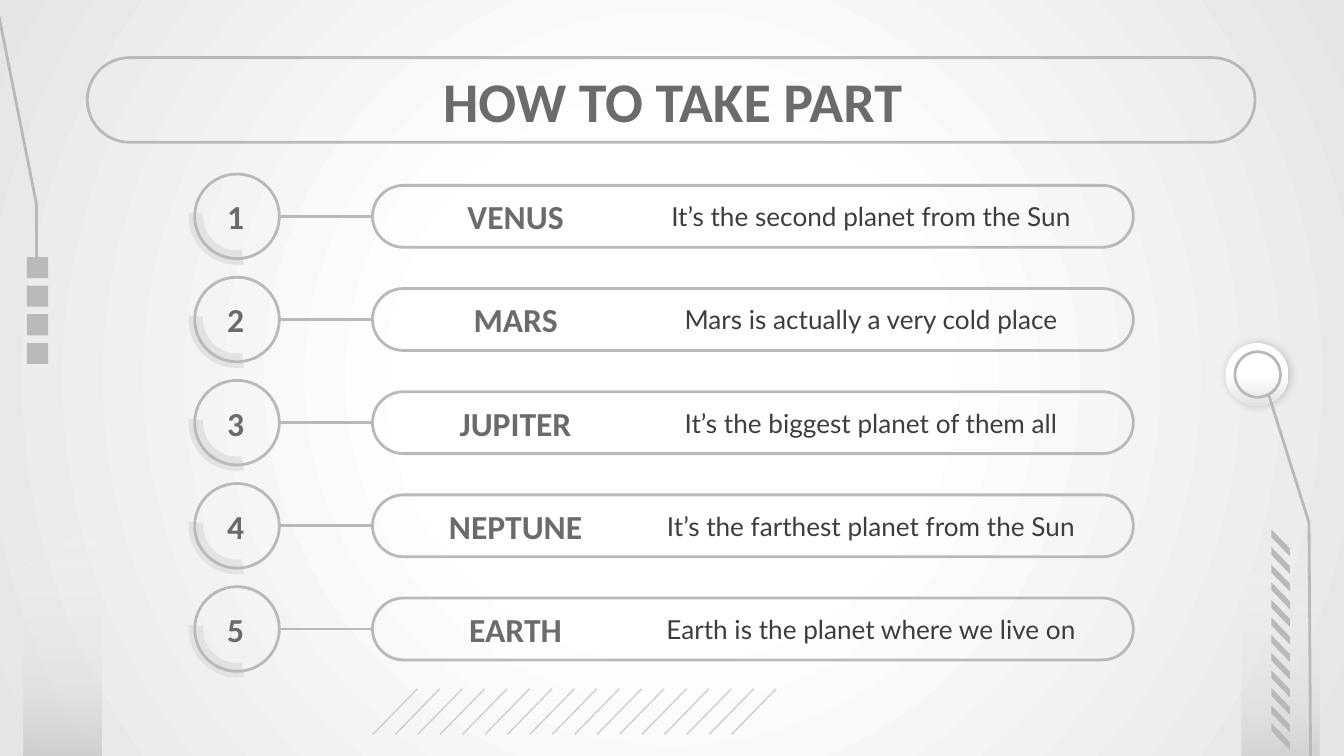
from lxml import etree
from pptx import Presentation
from pptx.dml.color import RGBColor
from pptx.enum.shapes import MSO_CONNECTOR, MSO_SHAPE
from pptx.enum.text import MSO_ANCHOR, PP_ALIGN
from pptx.oxml.ns import qn
from pptx.util import Cm, Pt

# Content
TITLE = "HOW TO TAKE PART"
STEPS = [
    ("VENUS", "It’s the second planet from the Sun"),
    ("MARS", "Mars is actually a very cold place"),
    ("JUPITER", "It’s the biggest planet of them all"),
    ("NEPTUNE", "It’s the farthest planet from the Sun"),
    ("EARTH", "Earth is the planet where we live on"),
]

# Colours
WHITE = RGBColor(0xFF, 0xFF, 0xFF)
OUTLINE = RGBColor(0xB9, 0xB9, 0xB9)
HEADING = RGBColor(0x6B, 0x6B, 0x6B)
BODY = RGBColor(0x3D, 0x3D, 0x3D)
ARC = RGBColor(0xE2, 0xE2, 0xE2)
SLASH = RGBColor(0xD1, 0xD1, 0xD1)
MIST = RGBColor(0xDC, 0xDC, 0xDC)
EDGE = RGBColor(0xE5, 0xE5, 0xE5)

# Layout, in centimetres
ROW_CENTRE, ROW_STEP = 4.09, 1.95
PILL_LEFT, PILL_WIDTH, PILL_HEIGHT = 7.04, 14.38, 1.17
DISC_CENTRE, DISC_SIZE, ARC_SIZE = 4.48, 1.6, 1.83

deck = Presentation()
deck.slide_width, deck.slide_height = Cm(25.4), Cm(14.29)
page = deck.slides.add_slide(deck.slide_layouts[6])


def child(parent, tag, **attributes):
    return etree.SubElement(parent, qn(tag), {k: str(v) for k, v in attributes.items()})


def set_gradient(holder, stops, angle=None):
    """Swap the solid fill in holder for a linear gradient, or a radial one without angle."""
    gradient = etree.Element(qn("a:gradFill"), rotWithShape="1")
    stop_list = child(gradient, "a:gsLst")
    for position, colour, opacity in stops:
        stop = child(stop_list, "a:gs", pos=position * 1000)
        tone = child(stop, "a:srgbClr", val=colour)
        if opacity < 100:
            child(tone, "a:alpha", val=opacity * 1000)
    if angle is None:
        radial = child(gradient, "a:path", path="circle")
        child(radial, "a:fillToRect", l=50000, t=50000, r=50000, b=50000)
    else:
        child(gradient, "a:lin", ang=angle * 60000, scaled=0)
    holder.replace(holder.find(qn("a:solidFill")), gradient)


def paint(shape, fill=None, line=None):
    shape.shadow.inherit = False
    for format_, colour in ((shape.fill, fill), (shape.line.fill, line)):
        if colour is None:
            format_.background()
        else:
            format_.solid()
            format_.fore_color.rgb = colour
    if line is not None:
        shape.line.width = Pt(1.5)
    return shape


def add_preset(kind, left, top, width, height, **colours):
    shape = page.shapes.add_shape(kind, Cm(left), Cm(top), Cm(width), Cm(height))
    return paint(shape, **colours)


def add_pill(left, top, width, height):
    add_preset(MSO_SHAPE.ROUNDED_RECTANGLE, left, top, width, height,
               line=OUTLINE).adjustments[0] = 0.5


def add_disc(centre_x, centre_y, size, **colours):
    return add_preset(MSO_SHAPE.OVAL, centre_x - size / 2, centre_y - size / 2,
                      size, size, **colours)


def add_outline(points, closed=True, **colours):
    start, *rest = [(Cm(x), Cm(y)) for x, y in points]
    builder = page.shapes.build_freeform(*start, scale=1.0)
    builder.add_line_segments(rest, close=closed)
    return paint(builder.convert_to_shape(), **colours)


def add_label(text, left, centre_y, width, height, size, font="Calibri", colour=HEADING, bold=True):
    box = page.shapes.add_textbox(Cm(left), Cm(centre_y - height / 2), Cm(width), Cm(height))
    frame = box.text_frame
    frame.word_wrap = True
    frame.vertical_anchor = MSO_ANCHOR.MIDDLE
    frame.margin_left = frame.margin_right = frame.margin_top = frame.margin_bottom = Cm(0.25)
    para = frame.paragraphs[0]
    para.text = text
    para.alignment = PP_ALIGN.CENTER
    para.font.name, para.font.size, para.font.bold = font, Pt(size), bold
    para.font.color.rgb = colour


def spread(first, last, count):
    return [first + (last - first) * i / (count - 1) for i in range(count)]


# Background
backdrop = page.background.fill
backdrop.solid()
backdrop.fore_color.rgb = WHITE
set_gradient(page.background._cSld.bg.bgPr,
             [(0, WHITE, 100), (32, WHITE, 100), (100, EDGE, 100)])

# Fading columns at the bottom corners
for left, top in ((0.45, 9.78), (23.47, 10.06)):
    right, bottom = left + 1.47, top + 5.47
    column = add_outline([(left, bottom), (left, top + 0.91), (right, top), (right, bottom)],
                         fill=OUTLINE)
    set_gradient(column.element.spPr, [(0, OUTLINE, 100), (43, MIST, 42), (100, WHITE, 0)], 270)

# Title
add_pill(1.65, 1.09, 22.07, 1.6)
add_label(TITLE, 2.01, 1.89, 21.41, 1.6, 30)

# Numbered rows
for index, (planet, fact) in enumerate(STEPS):
    centre = ROW_CENTRE + index * ROW_STEP
    arc = add_preset(MSO_SHAPE.BLOCK_ARC, DISC_CENTRE - ARC_SIZE / 2, centre - ARC_SIZE / 2,
                     ARC_SIZE, ARC_SIZE, fill=ARC)
    arc.rotation = 261.6
    for position, value in enumerate((108.12, 169.86, 0.15)):
        arc.adjustments[position] = value
    add_disc(DISC_CENTRE, centre, DISC_SIZE, line=OUTLINE)
    add_label(str(index + 1), 3.86, centre, 1.19, 0.99, 18)

    add_pill(PILL_LEFT, centre - PILL_HEIGHT / 2, PILL_WIDTH, PILL_HEIGHT)
    link = page.shapes.add_connector(MSO_CONNECTOR.STRAIGHT, Cm(PILL_LEFT), Cm(centre),
                                     Cm(DISC_CENTRE + DISC_SIZE / 2), Cm(centre))
    link.line.color.rgb, link.line.width = OUTLINE, Pt(1.5)
    child(link.element.spPr, "a:effectLst")
    add_label(planet, 7.37, centre, 4.75, 0.89, 18)
    add_label(fact, 11.84, centre, 9.25, 0.89, 14, "Lato", BODY, False)

# Hatched strip on the right
for y in spread(10.01, 13.67, 12):
    add_outline([(24.38, y + 0.51), (24.03, y + 0.15), (24.03, y), (24.38, y + 0.36)],
                fill=OUTLINE)

# Knob with its wire
knob = add_disc(23.76, 7.08, 1.19, fill=WHITE)
set_gradient(knob.element.spPr, [(0, WHITE, 100), (50, WHITE, 100), (100, ARC, 100)], 90)
shadow = child(knob.element.spPr.find(qn("a:effectLst")), "a:outerShdw",
               blurRad=Pt(4.5), dist=Pt(0.8), dir=0, rotWithShape=0)
child(child(shadow, "a:srgbClr", val="000000"), "a:alpha", val=19000)
add_disc(23.77, 7.08, 0.86, line=OUTLINE)
add_outline([(24.77, 14.43), (24.74, 9.88), (23.98, 7.47)], closed=False, line=OUTLINE)

# Wire and squares on the left
add_outline([(0.69, 4.95), (0.69, 3.86), (-0.08, 0)], closed=False, line=OUTLINE)
for y in spread(4.86, 6.48, 4):
    add_preset(MSO_SHAPE.RECTANGLE, 0.51, y, 0.4, 0.4, fill=OUTLINE)

# Slashes along the bottom
for x in spread(7.04, 13.82, 17):
    add_outline([(x + 0.02, 13.89), (x + 0.86, 13.03), (x + 0.84, 13.01), (x, 13.87)],
                fill=SLASH)

deck.save("out.pptx")
